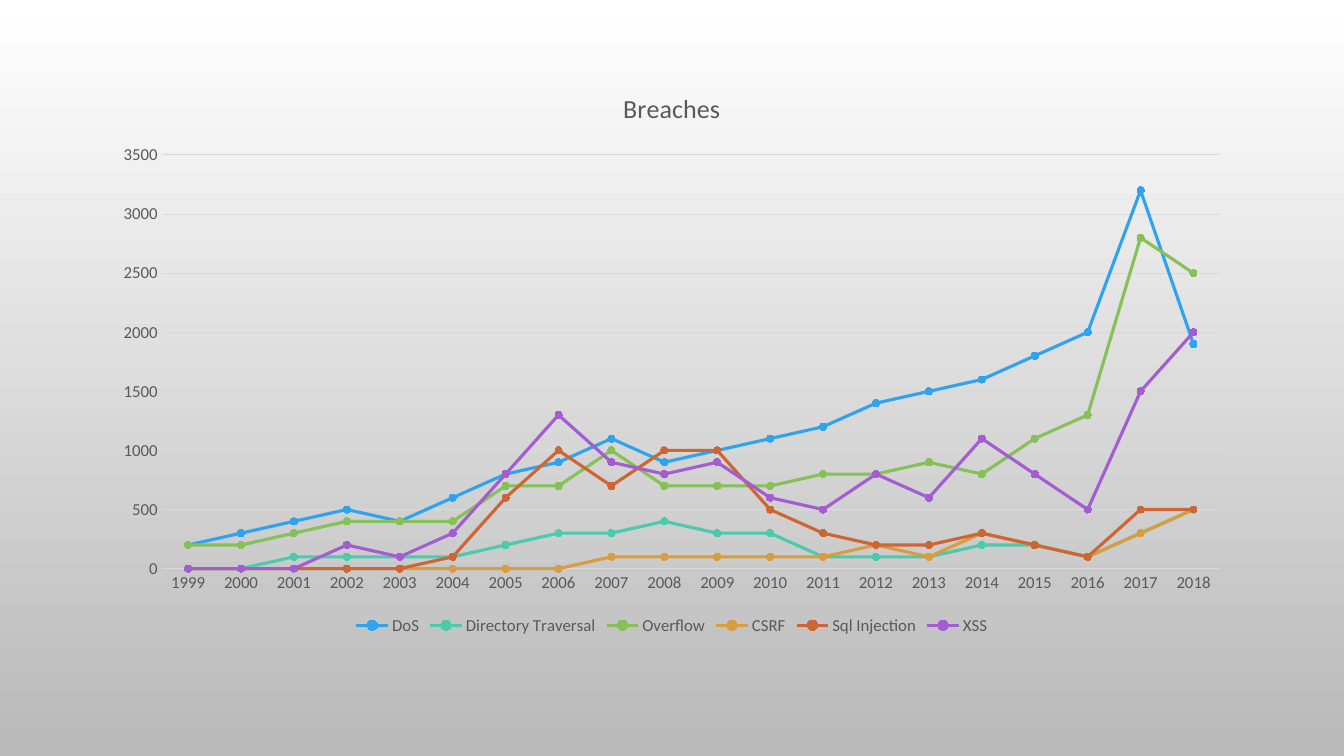
from lxml import etree
from pptx import Presentation
from pptx.chart.data import CategoryChartData
from pptx.dml.color import RGBColor
from pptx.enum.chart import XL_CHART_TYPE, XL_LEGEND_POSITION, XL_MARKER_STYLE, XL_TICK_MARK
from pptx.oxml import parse_xml
from pptx.oxml.ns import qn
from pptx.util import Cm, Pt

LINE = XL_CHART_TYPE.LINE_MARKERS
BOTTOM = XL_LEGEND_POSITION.BOTTOM
DOT = XL_MARKER_STYLE.CIRCLE
NO_TICK = XL_TICK_MARK.NONE

YEARS = [str(year) for year in range(1999, 2019)]
BREACHES = [
    ("DoS", "2FA3EE", [200, 300, 400, 500, 400, 600, 800, 900, 1100, 900,
                       1000, 1100, 1200, 1400, 1500, 1600, 1800, 2000, 3200, 1900]),
    ("Directory Traversal", "4BCAAD", [0, 0, 100, 100, 100, 100, 200, 300, 300, 400,
                                       300, 300, 100, 100, 100, 200, 200, 100, 300, 500]),
    ("Overflow", "86C157", [200, 200, 300, 400, 400, 400, 700, 700, 1000, 700,
                            700, 700, 800, 800, 900, 800, 1100, 1300, 2800, 2500]),
    ("CSRF", "D99C3F", [0, 0, 0, 0, 0, 0, 0, 0, 100, 100,
                        100, 100, 100, 200, 100, 300, 200, 100, 300, 500]),
    ("Sql Injection", "CE6633", [0, 0, 0, 0, 0, 100, 600, 1000, 700, 1000,
                                 1000, 500, 300, 200, 200, 300, 200, 100, 500, 500]),
    ("XSS", "A35DD1", [0, 0, 0, 200, 100, 300, 800, 1300, 900, 800,
                       900, 600, 500, 800, 600, 1100, 800, 500, 1500, 2000]),
]


def paint(color, code):
    color.rgb = RGBColor.from_string(code)


class Deck:
    """Holds the style and the current slide."""

    face, ink, rule = "Calibri", "595959", "D9D9D9"

    def __init__(self, show):
        self.slide = show.slides.add_slide(show.slide_layouts[6])

    def fade(self, top, base):
        fill = self.slide.background.fill
        fill.gradient()
        fill.gradient_angle = 270
        for stop, place, code in zip(fill.gradient_stops, (0, 1), (top, base)):
            stop.position = place
            paint(stop.color, code)

    def font(self, font, size, code=ink):
        font.name, font.size, font.bold = self.face, Pt(size), False
        paint(font.color, code)

    def stroke(self, line, code, width):
        paint(line.color, code)
        line.width = Pt(width)

    def axis(self, axis):
        axis.major_tick_mark = axis.minor_tick_mark = NO_TICK
        self.font(axis.tick_labels.font, 12)

    def curve(self, plot, code):
        plot.smooth = False
        self.stroke(plot.format.line, code, 2.25)
        mark = plot.marker
        mark.style, mark.size = DOT, 5
        mark.format.fill.solid()
        paint(mark.format.fill.fore_color, code)
        self.stroke(mark.format.line, code, 0.75)

    def clear(self, chart):
        props = etree.Element(qn("c:spPr"))
        etree.SubElement(props, qn("a:noFill"))
        edge = etree.SubElement(props, qn("a:ln"))
        etree.SubElement(edge, qn("a:noFill"))
        chart.element.find(qn("c:chart")).addnext(parse_xml(etree.tostring(props)))

    def chart(self, title, cats, rows, box):
        data = CategoryChartData()
        data.categories = cats
        for name, _, vals in rows:
            data.add_series(name, vals)
        chart = self.slide.shapes.add_chart(LINE, *map(Cm, box), data).chart
        self.font(chart.font, 10, "000000")
        self.clear(chart)

        chart.has_title = True
        chart.chart_title.include_in_layout = False
        head = chart.chart_title.text_frame
        head.text = title
        self.font(head.paragraphs[0].runs[0].font, 18.6)

        chart.has_legend = True
        chart.legend.position = BOTTOM
        chart.legend.include_in_layout = False
        self.font(chart.legend.font, 12)

        years, count = chart.category_axis, chart.value_axis
        self.axis(years)
        self.axis(count)
        self.stroke(years.format.line, self.rule, 0.75)
        count.format.line.fill.background()
        count.minimum_scale, count.maximum_scale, count.major_unit = 0, 3500, 500
        count.has_major_gridlines = True
        self.stroke(count.major_gridlines.format.line, self.rule, 0.75)

        chart.plots[0].vary_by_categories = False
        for plot, (_, code, _) in zip(chart.plots[0].series, rows):
            self.curve(plot, code)


def main():
    show = Presentation()
    show.slide_width, show.slide_height = Cm(33.87), Cm(19.05)
    deck = Deck(show)
    deck.fade("FFFFFF", "B9B9B9")
    deck.chart("Breaches", YEARS, BREACHES, (2.54, 1.73, 28.78, 14.38))
    show.save("out.pptx")


if __name__ == "__main__":
    main()
